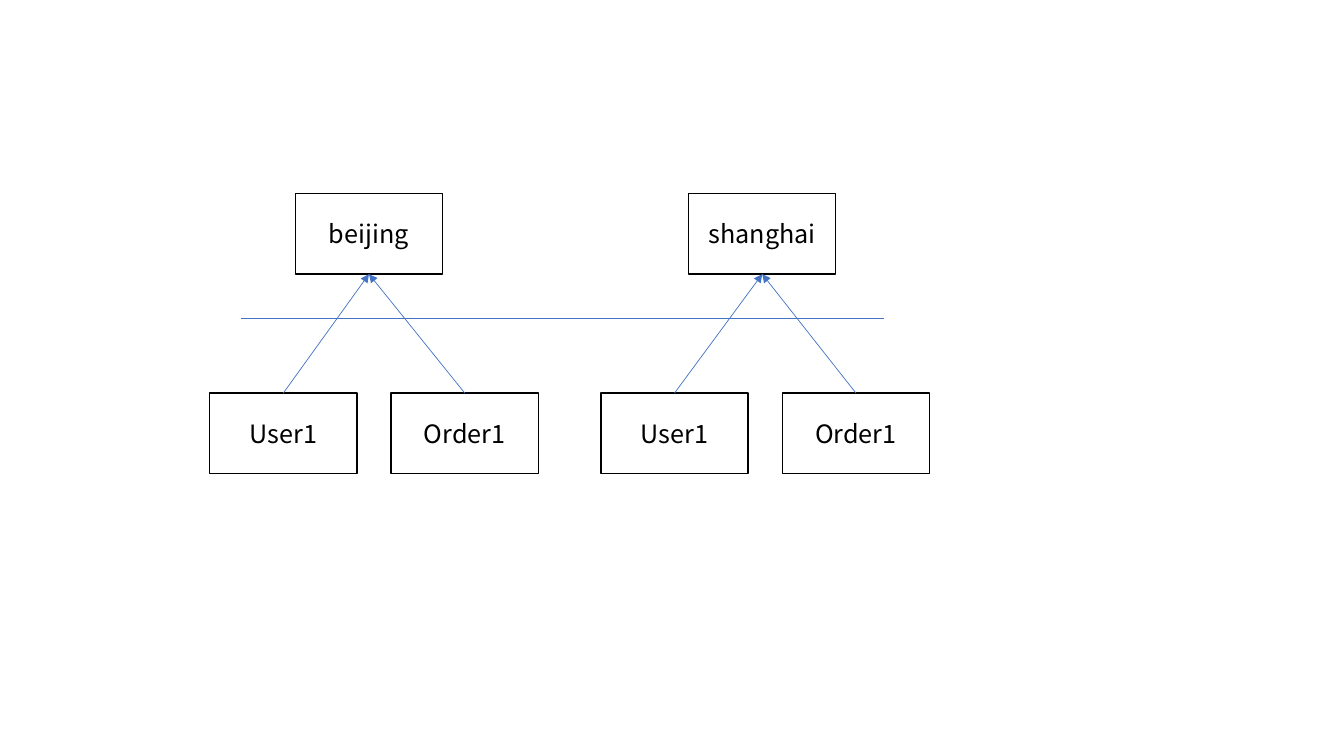
from dataclasses import dataclass

from lxml.etree import SubElement
from pptx import Presentation
from pptx.dml.color import RGBColor
from pptx.enum.shapes import MSO_CONNECTOR, MSO_SHAPE
from pptx.enum.text import MSO_ANCHOR, PP_ALIGN
from pptx.oxml.ns import qn
from pptx.slide import Slide
from pptx.util import Inches, Pt

BLACK = RGBColor(0x00, 0x00, 0x00)
WHITE = RGBColor(0xFF, 0xFF, 0xFF)
BLUE = RGBColor(0x44, 0x72, 0xC4)
FONT_NAME = "Noto Sans CJK SC"

BOX_WIDTH = 1.46
BOX_HEIGHT = 0.8
CITY_TOP = 1.92
TABLE_TOP = 3.9
TABLE_STEP = 1.8
DIVIDER_TOP = 3.16
TABLE_NAMES = ("User1", "Order1")


@dataclass(frozen=True)
class City:
    """A city box and the left edge of its first table box."""

    name: str
    left: float
    tables_left: float


CITIES = (City("beijing", 2.93, 2.08), City("shanghai", 6.83, 5.96))


def add_box(slide: Slide, text: str, left: float, top: float) -> None:
    """Draw a white outlined box with centred text."""
    box = slide.shapes.add_shape(
        MSO_SHAPE.RECTANGLE, Inches(left), Inches(top), Inches(BOX_WIDTH), Inches(BOX_HEIGHT)
    )
    box.shadow.inherit = False
    box.fill.solid()
    box.fill.fore_color.rgb = WHITE
    box.line.color.rgb = BLACK
    box.line.width = Pt(1)
    box.text_frame.vertical_anchor = MSO_ANCHOR.MIDDLE
    paragraph = box.text_frame.paragraphs[0]
    paragraph.text = text
    paragraph.alignment = PP_ALIGN.CENTER
    paragraph.font.name = FONT_NAME
    paragraph.font.size = Pt(18)
    paragraph.font.color.rgb = BLACK


def add_line(
    slide: Slide, start: tuple[float, float], end: tuple[float, float], arrow: bool = False
) -> None:
    """Draw a thin blue line, with an arrowhead at its end on request."""
    points = [Inches(value) for value in (*start, *end)]
    connector = slide.shapes.add_connector(MSO_CONNECTOR.STRAIGHT, *points)
    connector.line.color.rgb = BLUE
    connector.line.width = Pt(0.5)
    if arrow:
        SubElement(connector.line._get_or_add_ln(), qn("a:tailEnd"), type="triangle")
    SubElement(connector._element.spPr, qn("a:effectLst"))


def add_city(slide: Slide, city: City) -> None:
    """Draw a city box and its tables, each with an arrow to the city."""
    add_box(slide, city.name, city.left, CITY_TOP)
    city_bottom = (city.left + BOX_WIDTH / 2, CITY_TOP + BOX_HEIGHT)
    for index, name in enumerate(TABLE_NAMES):
        left = city.tables_left + index * TABLE_STEP
        add_box(slide, name, left, TABLE_TOP)
        add_line(slide, (left + BOX_WIDTH / 2, TABLE_TOP), city_bottom, arrow=True)


def main() -> None:
    """Build and save the slide."""
    presentation = Presentation()
    presentation.slide_width = Inches(13.33)
    presentation.slide_height = Inches(7.5)
    slide = presentation.slides.add_slide(presentation.slide_layouts[6])
    add_line(slide, (2.39, DIVIDER_TOP), (8.77, DIVIDER_TOP))
    for city in CITIES:
        add_city(slide, city)
    presentation.save("out.pptx")


main()
